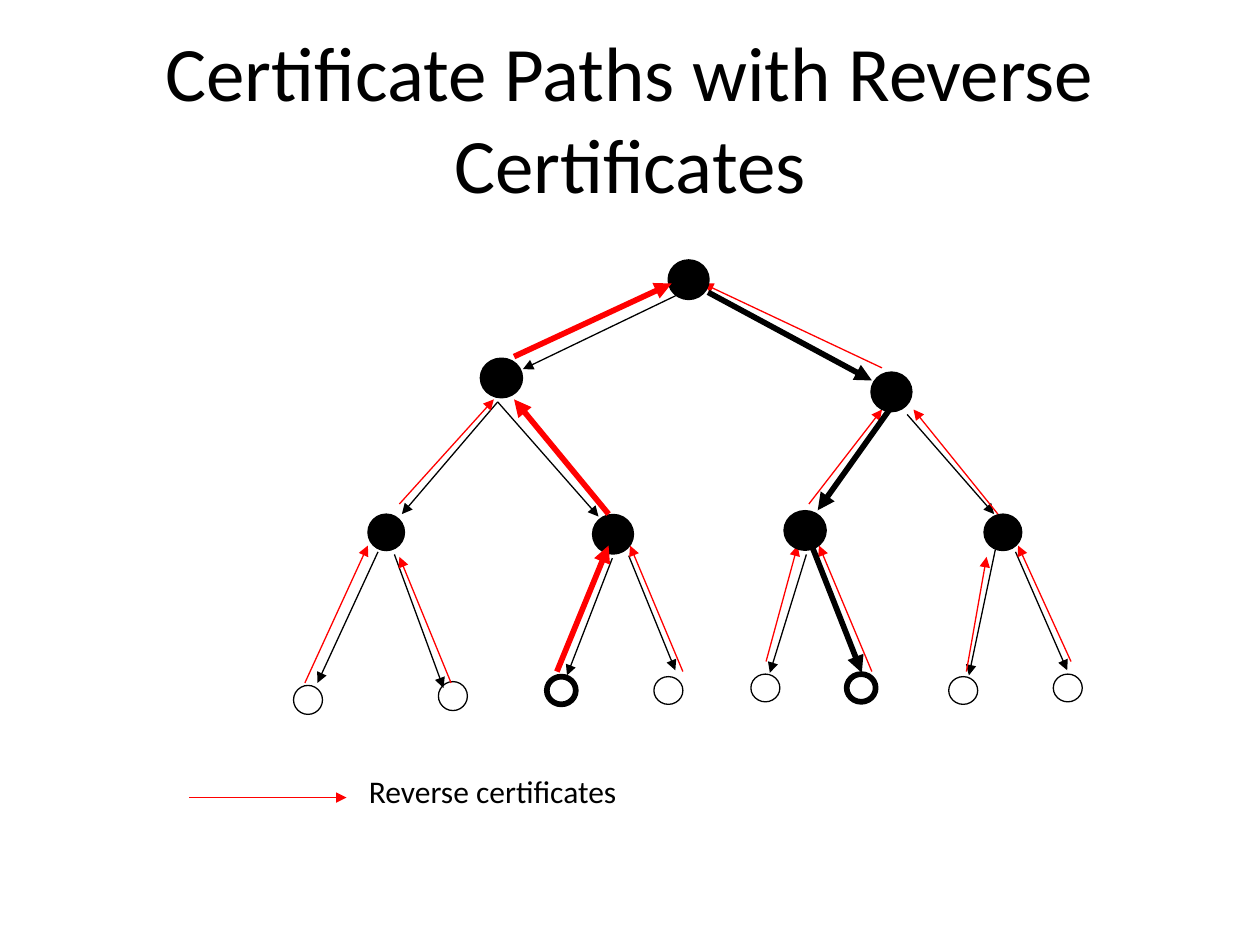
from typing import NamedTuple

from lxml import etree
from pptx import Presentation
from pptx.dml.color import RGBColor
from pptx.enum.shapes import MSO_CONNECTOR, MSO_SHAPE
from pptx.enum.text import MSO_ANCHOR, PP_ALIGN
from pptx.oxml.ns import qn
from pptx.slide import Slide
from pptx.util import Inches, Pt

STRAIGHT = MSO_CONNECTOR.STRAIGHT
OVAL = MSO_SHAPE.OVAL
MIDDLE = MSO_ANCHOR.MIDDLE
CENTER = PP_ALIGN.CENTER

BLACK = RGBColor(0x00, 0x00, 0x00)
WHITE = RGBColor(0xFF, 0xFF, 0xFF)
RED = RGBColor(0xFF, 0x00, 0x00)
FONT = "Calibri"
THIN, THICK = 0.75, 3.25
TITLE_ONLY = 5


class Node(NamedTuple):
    left: float
    top: float
    width: float
    height: float
    fill: RGBColor


class Arrow(NamedTuple):
    x1: float
    y1: float
    x2: float
    y2: float


def authority(left: float, top: float, width: float = 0.29, height: float = 0.28) -> Node:
    return Node(left, top, width, height, BLACK)


def user(left: float, top: float, height: float = 0.22) -> Node:
    return Node(left, top, 0.23, height, WHITE)


# Tree nodes away from the highlighted certificate path
OTHER_NODES = [
    authority(2.92, 4.08, height=0.29),
    authority(7.81, 4.08, 0.3, 0.29),
    user(2.33, 5.44, 0.23),
    user(3.48, 5.41, 0.23),
    user(5.19, 5.37),
    user(5.96, 5.35),
    user(7.53, 5.37),
    user(8.36, 5.35),
]

# Nodes on the highlighted path, from left user to right user
PATH_NODES = [
    user(4.34, 5.37),
    authority(4.72, 4.1),
    authority(3.83, 2.86, 0.3),
    authority(5.32, 2.08),
    authority(6.93, 2.97),
    authority(6.24, 4.07, 0.3),
    user(6.72, 5.35),
]

FORWARD = [
    Arrow(5.46, 2.3, 4.15, 2.93),
    Arrow(3.95, 3.19, 3.19, 4.08),
    Arrow(3.95, 3.19, 4.75, 4.1),
    Arrow(7.2, 3.29, 7.89, 4.08),
    Arrow(3, 4.38, 2.52, 5.42),
    Arrow(3.13, 4.4, 3.52, 5.46),
    Arrow(4.86, 4.43, 4.5, 5.36),
    Arrow(4.99, 4.41, 5.36, 5.32),
    Arrow(6.4, 4.4, 6.11, 5.34),
    Arrow(7.9, 4.36, 7.69, 5.36),
    Arrow(8.06, 4.38, 8.47, 5.32),
]

REVERSE = [
    Arrow(7, 2.92, 5.58, 2.25),
    Arrow(3.17, 4, 3.92, 3.17),
    Arrow(6.42, 4, 7, 3.25),
    Arrow(7.92, 4.08, 7.25, 3.25),
    Arrow(2.42, 5.42, 2.92, 4.33),
    Arrow(3.58, 5.42, 3.17, 4.42),
    Arrow(5.42, 5.33, 5, 4.33),
    Arrow(6.08, 5.25, 6.33, 4.33),
    Arrow(6.92, 5.33, 6.5, 4.33),
    Arrow(7.67, 5.33, 7.83, 4.42),
    Arrow(8.5, 5.25, 8.08, 4.33),
]

PATH_UP = [
    Arrow(4.42, 5.33, 4.83, 4.33),
    Arrow(4.83, 4.08, 4.08, 3.17),
    Arrow(4.08, 2.83, 5.33, 2.25),
]

PATH_DOWN = [
    Arrow(5.62, 2.32, 6.92, 3.02),
    Arrow(7.06, 3.25, 6.49, 4.05),
    Arrow(6.45, 4.35, 6.84, 5.34),
]

LEGEND_ARROW = Arrow(1.5, 6.33, 2.75, 6.33)


def draw_nodes(slide: Slide, nodes: list[Node], weight: float) -> None:
    for node in nodes:
        circle = slide.shapes.add_shape(OVAL, *map(Inches, node[:4]))
        circle.shadow.inherit = False
        circle.fill.solid()
        circle.fill.fore_color.rgb = node.fill
        circle.line.color.rgb = BLACK
        circle.line.width = Pt(weight)


def draw_arrows(slide: Slide, arrows: list[Arrow], color: RGBColor, weight: float) -> None:
    for arrow in arrows:
        connector = slide.shapes.add_connector(STRAIGHT, *map(Inches, arrow))
        connector.line.color.rgb = color
        connector.line.width = Pt(weight)
        properties = connector._element.spPr
        etree.SubElement(properties.find(qn("a:ln")), qn("a:tailEnd"), type="triangle")
        etree.SubElement(properties, qn("a:effectLst"))


def draw_title(slide: Slide) -> None:
    title = slide.shapes.title
    title.left, title.top = Inches(0.5), Inches(0.3)
    title.width, title.height = Inches(9), Inches(1.25)
    title.text_frame.text = "Certificate Paths with Reverse Certificates"
    title.text_frame.vertical_anchor = MIDDLE
    heading = title.text_frame.paragraphs[0]
    heading.alignment = CENTER
    heading.font.name = FONT
    heading.font.size = Pt(44)
    heading.font.color.rgb = BLACK


def draw_legend(slide: Slide) -> None:
    draw_arrows(slide, [LEGEND_ARROW], RED, THIN)
    label = slide.shapes.add_textbox(Inches(2.83), Inches(6.08), Inches(3.17), Inches(0.5))
    label.text_frame.word_wrap = True
    caption = label.text_frame.paragraphs[0]
    caption.text = "Reverse certificates"
    caption.font.name = FONT
    caption.font.size = Pt(18)
    caption.font.color.rgb = BLACK


def main() -> None:
    deck = Presentation()
    deck.slide_width, deck.slide_height = Inches(10), Inches(7.5)
    slide = deck.slides.add_slide(deck.slide_layouts[TITLE_ONLY])
    draw_title(slide)

    # Certificate tree
    draw_nodes(slide, OTHER_NODES, THIN)
    draw_arrows(slide, FORWARD, BLACK, THIN)
    draw_arrows(slide, REVERSE, RED, THIN)
    draw_legend(slide)

    # Highlighted path on top
    draw_nodes(slide, PATH_NODES, THICK)
    draw_arrows(slide, PATH_DOWN, BLACK, THICK)
    draw_arrows(slide, PATH_UP, RED, THICK)

    deck.save("out.pptx")


if __name__ == "__main__":
    main()
